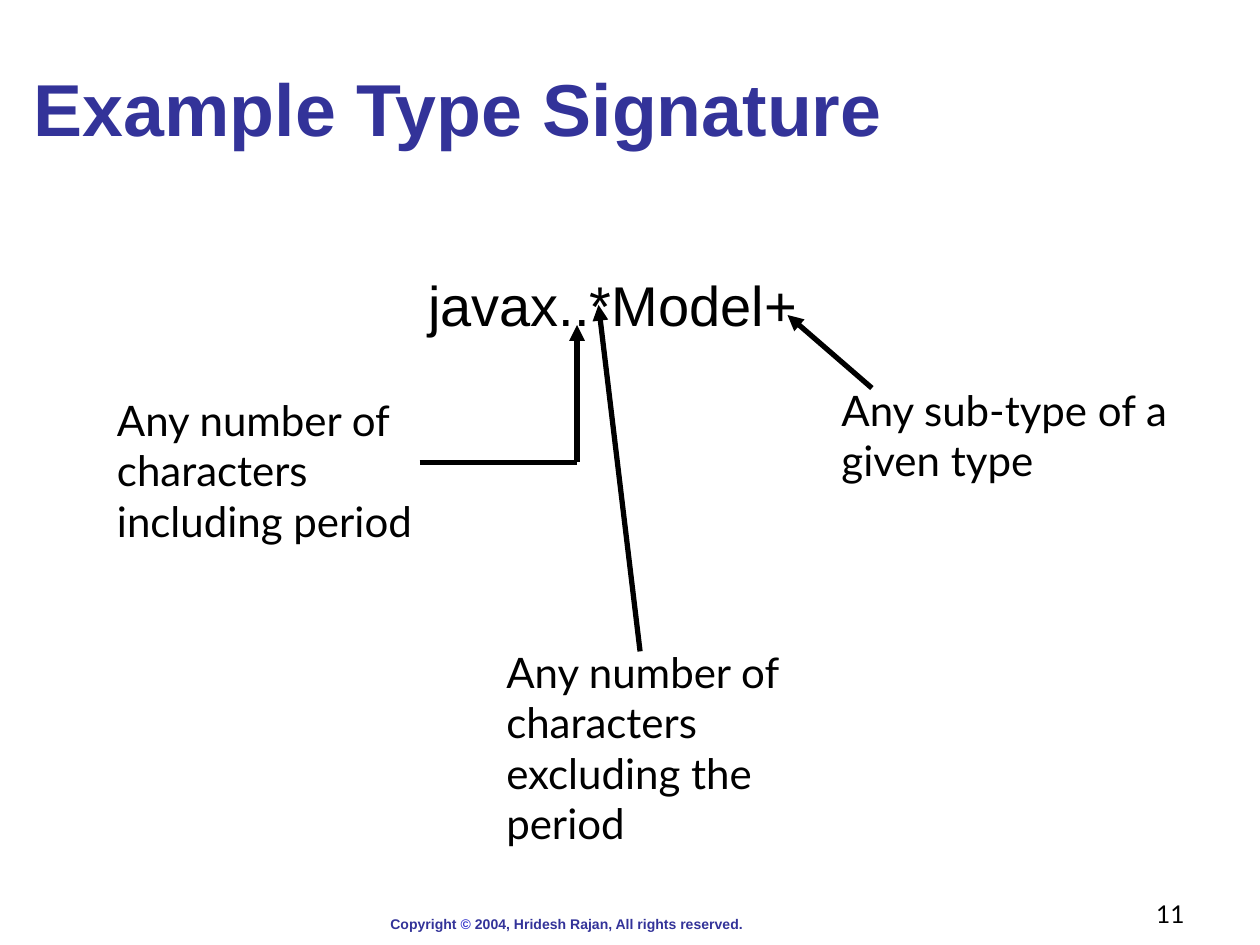
import pptx
import pptx.util
import pptx.dml.color
import pptx.enum.shapes
import pptx.enum.text
import pptx.oxml.ns
import lxml.etree

Inches = pptx.util.Inches
Anchor = pptx.enum.text.MSO_ANCHOR
Align = pptx.enum.text.PP_ALIGN
COLORS = {"title": "333399", "mark": "3333CC", "ink": "000000"}


class Deck:
    """Holds the style and the current slide."""
    head_font = "Arial"
    note_font = "Lato"
    line_width = 3

    def __init__(self):
        self.file = pptx.Presentation()
        self.file.slide_width = Inches(10)
        self.file.slide_height = Inches(7.5)
        self.slide = self.file.slides.add_slide(self.file.slide_layouts[6])

    def color(self, name):
        return pptx.dml.color.RGBColor.from_string(COLORS[name])

    def text(self, place, parts, size, font, bold=False, wrap=True,
             anchor=Anchor.TOP, align=Align.LEFT):
        """Add one paragraph; parts is a list of (wording, color name)."""
        box = self.slide.shapes.add_textbox(*map(Inches, place))
        frame = box.text_frame
        frame.word_wrap = wrap
        frame.vertical_anchor = anchor
        para = frame.paragraphs[0]
        para.alignment = align
        for words, color in parts:
            run = para.add_run()
            run.text = words
            run.font.name = font
            run.font.size = pptx.util.Pt(size)
            run.font.bold = bold
            run.font.color.rgb = self.color(color)

    def note(self, left, top, width, height, words):
        self.text((left, top, width, height), [(words, "ink")], 24,
                  self.note_font)

    def line(self, start, end, arrow=True):
        kind = pptx.enum.shapes.MSO_CONNECTOR.STRAIGHT
        line = self.slide.shapes.add_connector(
            kind, *map(Inches, start + end))
        line.line.width = pptx.util.Pt(self.line_width)
        line.line.color.rgb = self.color("ink")
        qn = pptx.oxml.ns.qn
        if arrow:
            lxml.etree.SubElement(line.line._get_or_add_ln(),
                                  qn("a:tailEnd"), type="triangle")
        lxml.etree.SubElement(line._element.spPr, qn("a:effectLst"))


def main():
    deck = Deck()
    deck.text((3, 7.22, 3, 0.24),
              [("Copyright ", "title"), ("©", "mark"),
               (" 2004, Hridesh Rajan, All rights reserved.", "title")],
              8, deck.head_font, bold=True, wrap=False)
    deck.text((0.17, 0, 9.5, 1.25), [("Example Type Signature", "title")],
              42, deck.head_font, bold=True, anchor=Anchor.BOTTOM)
    deck.text((3.3, 2.1, 3.3, 0.6), [("javax..*Model+", "ink")],
              32, deck.head_font)

    deck.note(0.83, 3.08, 2.58, 1.7,
              "Any number of characters including period")
    corner = (4.58, 3.67)
    deck.line((3.33, 3.67), corner, arrow=False)
    deck.line(corner, (4.58, 2.58))

    deck.note(3.92, 5.08, 2.67, 1.7,
              "Any number of characters excluding the period")
    deck.line((5.08, 5.17), (4.75, 2.42))

    deck.note(6.58, 3, 2.92, 0.9, "Any sub-type of a given type")
    deck.line((6.92, 3.08), (6.25, 2.5))

    deck.text((7.42, 6.92, 2.08, 0.5), [("11", "ink")], 14, deck.note_font,
              anchor=Anchor.BOTTOM, align=Align.RIGHT)
    deck.file.save("out.pptx")


if __name__ == "__main__":
    main()
